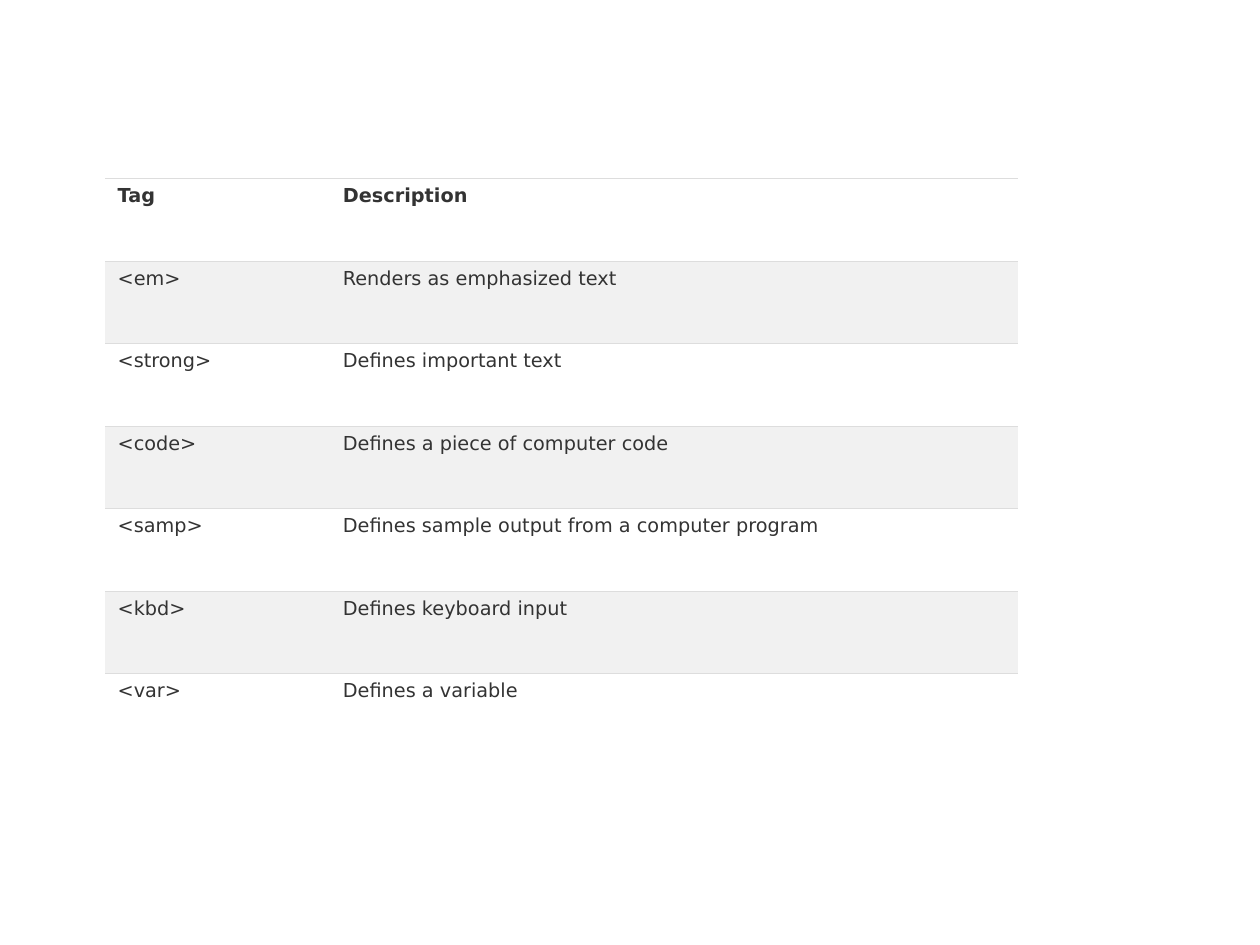
from lxml import etree
from pptx import Presentation
from pptx.dml.color import RGBColor
from pptx.oxml.ns import qn
from pptx.util import Pt

INK = RGBColor(0x33, 0x33, 0x33)
RULE = RGBColor(0xDD, 0xDD, 0xDD)
WHITE = RGBColor(0xFF, 0xFF, 0xFF)
BAND = RGBColor(0xF1, 0xF1, 0xF1)
FONT = "DejaVu Sans"

ROWS = [
    ("Tag", "Description"),
    ("<em>", "Renders as emphasized text"),
    ("<strong>", "Defines important text"),
    ("<code>", "Defines a piece of computer code"),
    ("<samp>", "Defines sample output from a computer program"),
    ("<kbd>", "Defines keyboard input"),
    ("<var>", "Defines a variable"),
]


def set_borders(cell, ruled):
    tcPr = cell._tc.get_or_add_tcPr()
    for i, side in enumerate(("lnL", "lnR", "lnT", "lnB")):
        ln = etree.Element(qn("a:" + side), w=str(Pt(0.06)))
        if side in ruled:
            fill = etree.SubElement(ln, qn("a:solidFill"))
            etree.SubElement(fill, qn("a:srgbClr"), val=str(RULE))
        else:
            etree.SubElement(ln, qn("a:noFill"))
        tcPr.insert(i, ln)


def fill_cell(cell, words, bold, color, ruled):
    cell.fill.solid()
    cell.fill.fore_color.rgb = color
    set_borders(cell, ruled)
    r = cell.text_frame.paragraphs[0].add_run()
    r.text = words
    r.font.name = FONT
    r.font.size = Pt(11)
    r.font.bold = bold
    r.font.color.rgb = INK


def add_tag_table(s, x, y, w, h, tag_w):
    tbl = s.shapes.add_table(len(ROWS), 2, Pt(x), Pt(y), Pt(w), Pt(h)).table
    tbl.first_row = False
    tbl.horz_banding = False
    for col, width in zip(tbl.columns, (tag_w, w - tag_w)):
        col.width = Pt(width)
    for i, row in enumerate(ROWS):
        tbl.rows[i].height = Pt(h / len(ROWS))
        ruled = ("lnT",) if i == len(ROWS) - 1 else ("lnT", "lnB")
        for j, words in enumerate(row):
            fill_cell(tbl.cell(i, j), words, i == 0, BAND if i % 2 else WHITE, ruled)


def main():
    prs = Presentation()
    prs.slide_width, prs.slide_height = Pt(720), Pt(540)
    s = prs.slides.add_slide(prs.slide_layouts[6])
    add_tag_table(s, 60, 102, 522, 330, 128.7)
    prs.save("out.pptx")


if __name__ == "__main__":
    main()
